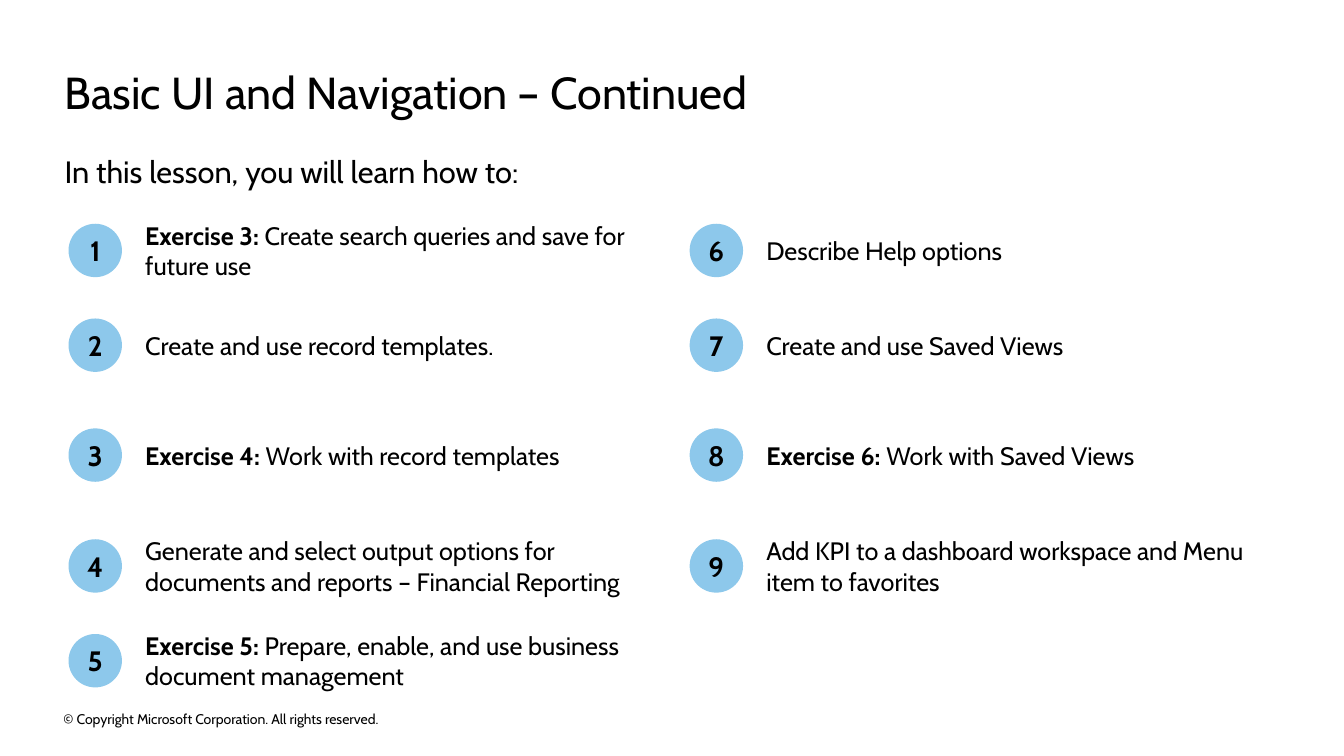
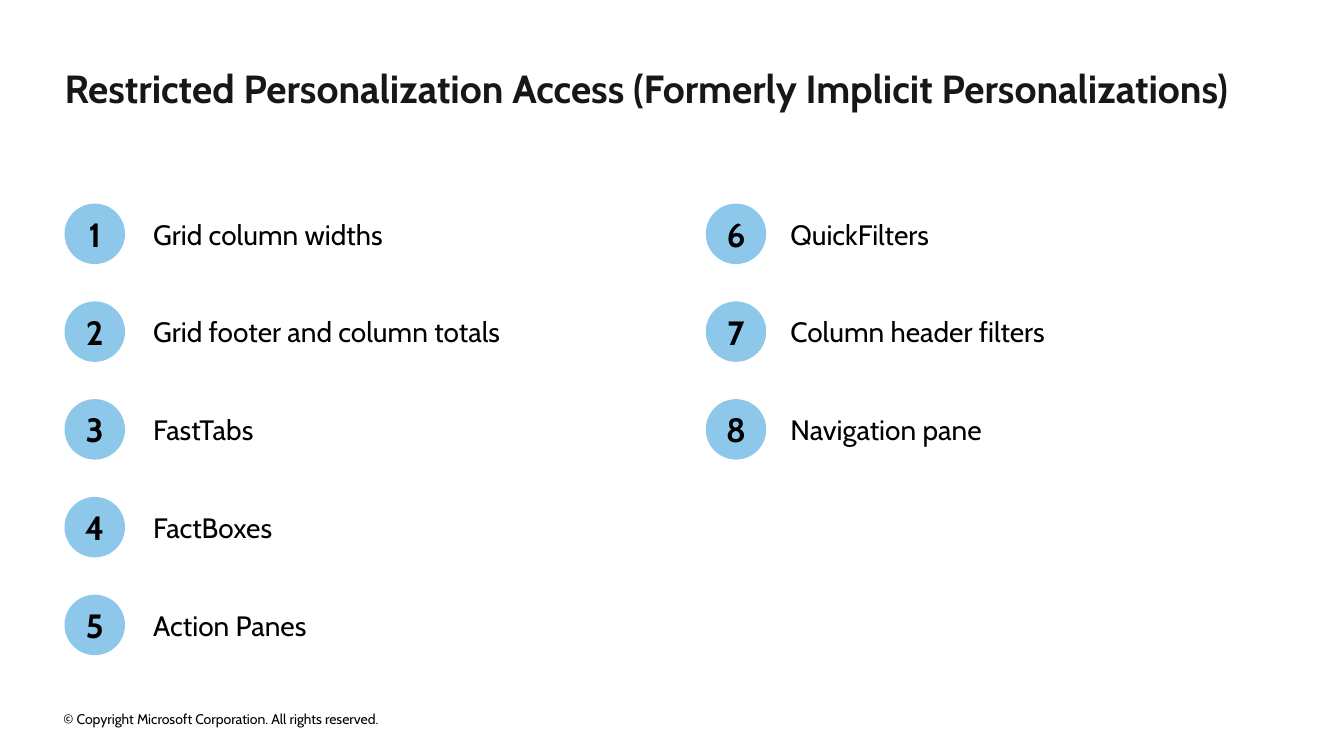
from dataclasses import dataclass

from pptx import Presentation
from pptx.dml.color import RGBColor
from pptx.enum.shapes import MSO_SHAPE
from pptx.enum.text import MSO_ANCHOR, PP_ALIGN
from pptx.presentation import Presentation as PresentationType
from pptx.slide import Slide
from pptx.text.text import TextFrame
from pptx.util import Inches, Pt


@dataclass(frozen=True)
class Theme:
    font: str = "Cabin"
    text: RGBColor = RGBColor(0x00, 0x00, 0x00)
    strong_title: RGBColor = RGBColor(0x17, 0x17, 0x17)
    badge: RGBColor = RGBColor(0x8D, 0xC8, 0xEB)
    title_size: int = 32
    strong_title_size: int = 28
    subtitle_size: int = 22
    footer_size: int = 10


@dataclass(frozen=True)
class Style:
    size: int
    color: RGBColor
    bold: bool = False


@dataclass(frozen=True)
class Box:
    left: float
    top: float
    width: float
    height: float


@dataclass(frozen=True)
class Item:
    text: str
    lead: str = ""


@dataclass(frozen=True)
class ListLayout:
    badge_lefts: tuple[float, ...]
    label_lefts: tuple[float, ...]
    badge_tops: tuple[float, ...]
    badge_size: float
    label_width: float
    number_size: int
    label_size: int


THEME = Theme()
MARGIN = 0.64
CONTENT_WIDTH = 12.04
LABEL_HEIGHT = 0.61
FOOTER = "© Copyright Microsoft Corporation. All rights reserved."

LESSON_LAYOUT = ListLayout(
    badge_lefts=(0.68, 6.84),
    label_lefts=(1.44, 7.6),
    badge_tops=(2.22, 3.16, 4.25, 5.35, 6.29),
    badge_size=0.53,
    label_width=5.09,
    number_size=20,
    label_size=18,
)
ACCESS_LAYOUT = ListLayout(
    badge_lefts=(MARGIN, 7),
    label_lefts=(1.52, 7.84),
    badge_tops=tuple(2.02 + 0.97 * row for row in range(5)),
    badge_size=0.6,
    label_width=5.04,
    number_size=24,
    label_size=20,
)

LESSON_ITEMS = (
    Item("Create search queries and save for future use", "Exercise 3: "),
    Item("Create and use record templates."),
    Item("Work with record templates", "Exercise 4: "),
    Item("Generate and select output options for documents and reports – Financial Reporting"),
    Item("Prepare, enable, and use business document management", "Exercise 5: "),
    Item("Describe Help options"),
    Item("Create and use Saved Views"),
    Item("Work with Saved Views", "Exercise 6: "),
    Item("Add KPI to a dashboard workspace and Menu item to favorites"),
)
ACCESS_ITEMS = (
    Item("Grid column widths"),
    Item("Grid footer and column totals"),
    Item("FastTabs"),
    Item("FactBoxes"),
    Item("Action Panes"),
    Item("QuickFilters"),
    Item("Column header filters"),
    Item("Navigation pane"),
)


def format_text(text_frame: TextFrame, style: Style, anchor: MSO_ANCHOR) -> None:
    text_frame.margin_left = text_frame.margin_right = Inches(0)
    text_frame.margin_top = text_frame.margin_bottom = Inches(0)
    text_frame.vertical_anchor = anchor
    for run in text_frame.paragraphs[0].runs:
        run.font.name = THEME.font
        run.font.size = Pt(style.size)
        run.font.bold = style.bold
        run.font.color.rgb = style.color


def add_text(
    slide: Slide, box: Box, item: Item, style: Style, anchor: MSO_ANCHOR = MSO_ANCHOR.TOP
) -> None:
    shape = slide.shapes.add_textbox(
        Inches(box.left), Inches(box.top), Inches(box.width), Inches(box.height)
    )
    text_frame = shape.text_frame
    text_frame.word_wrap = True
    text_frame.text = item.lead or item.text
    paragraph = text_frame.paragraphs[0]
    if item.lead:
        paragraph.add_run().text = item.text
    format_text(text_frame, style, anchor)
    if item.lead:
        paragraph.runs[0].font.bold = True


def add_badge(slide: Slide, left: float, top: float, number: int, layout: ListLayout) -> None:
    size = Inches(layout.badge_size)
    badge = slide.shapes.add_shape(MSO_SHAPE.OVAL, Inches(left), Inches(top), size, size)
    badge.shadow.inherit = False
    badge.fill.solid()
    badge.fill.fore_color.rgb = THEME.badge
    badge.line.fill.background()
    text_frame = badge.text_frame
    text_frame.text = str(number)
    text_frame.word_wrap = False
    text_frame.paragraphs[0].alignment = PP_ALIGN.CENTER
    format_text(text_frame, Style(layout.number_size, THEME.text, True), MSO_ANCHOR.MIDDLE)


def add_numbered_list(slide: Slide, items: tuple[Item, ...], layout: ListLayout) -> None:
    label_style = Style(layout.label_size, THEME.text)
    for index, item in enumerate(items):
        column, row = divmod(index, len(layout.badge_tops))
        top = layout.badge_tops[row]
        add_badge(slide, layout.badge_lefts[column], top, index + 1, layout)
        label_top = top + (layout.badge_size - LABEL_HEIGHT) / 2
        label_box = Box(layout.label_lefts[column], label_top, layout.label_width, LABEL_HEIGHT)
        add_text(slide, label_box, item, label_style, MSO_ANCHOR.MIDDLE)


def add_titled_slide(presentation: PresentationType, title: str, title_style: Style) -> Slide:
    slide = presentation.slides.add_slide(presentation.slide_layouts[6])
    footer_style = Style(THEME.footer_size, THEME.text)
    add_text(slide, Box(0.63, 7.02, 4.54, 0.22), Item(FOOTER), footer_style, MSO_ANCHOR.MIDDLE)
    add_text(slide, Box(MARGIN, 0.64, CONTENT_WIDTH, 0.54), Item(title), title_style)
    return slide


def main() -> None:
    presentation = Presentation()
    presentation.slide_width = Inches(13.33)
    presentation.slide_height = Inches(7.5)

    lesson_slide = add_titled_slide(
        presentation,
        "Basic UI and Navigation – Continued",
        Style(THEME.title_size, THEME.text),
    )
    add_text(
        lesson_slide,
        Box(MARGIN, 1.52, CONTENT_WIDTH, 0.37),
        Item("In this lesson, you will learn how to:"),
        Style(THEME.subtitle_size, THEME.text),
    )
    add_numbered_list(lesson_slide, LESSON_ITEMS, LESSON_LAYOUT)

    access_slide = add_titled_slide(
        presentation,
        "Restricted Personalization Access (Formerly Implicit Personalizations)",
        Style(THEME.strong_title_size, THEME.strong_title, True),
    )
    add_numbered_list(access_slide, ACCESS_ITEMS, ACCESS_LAYOUT)

    presentation.save("out.pptx")


if __name__ == "__main__":
    main()
